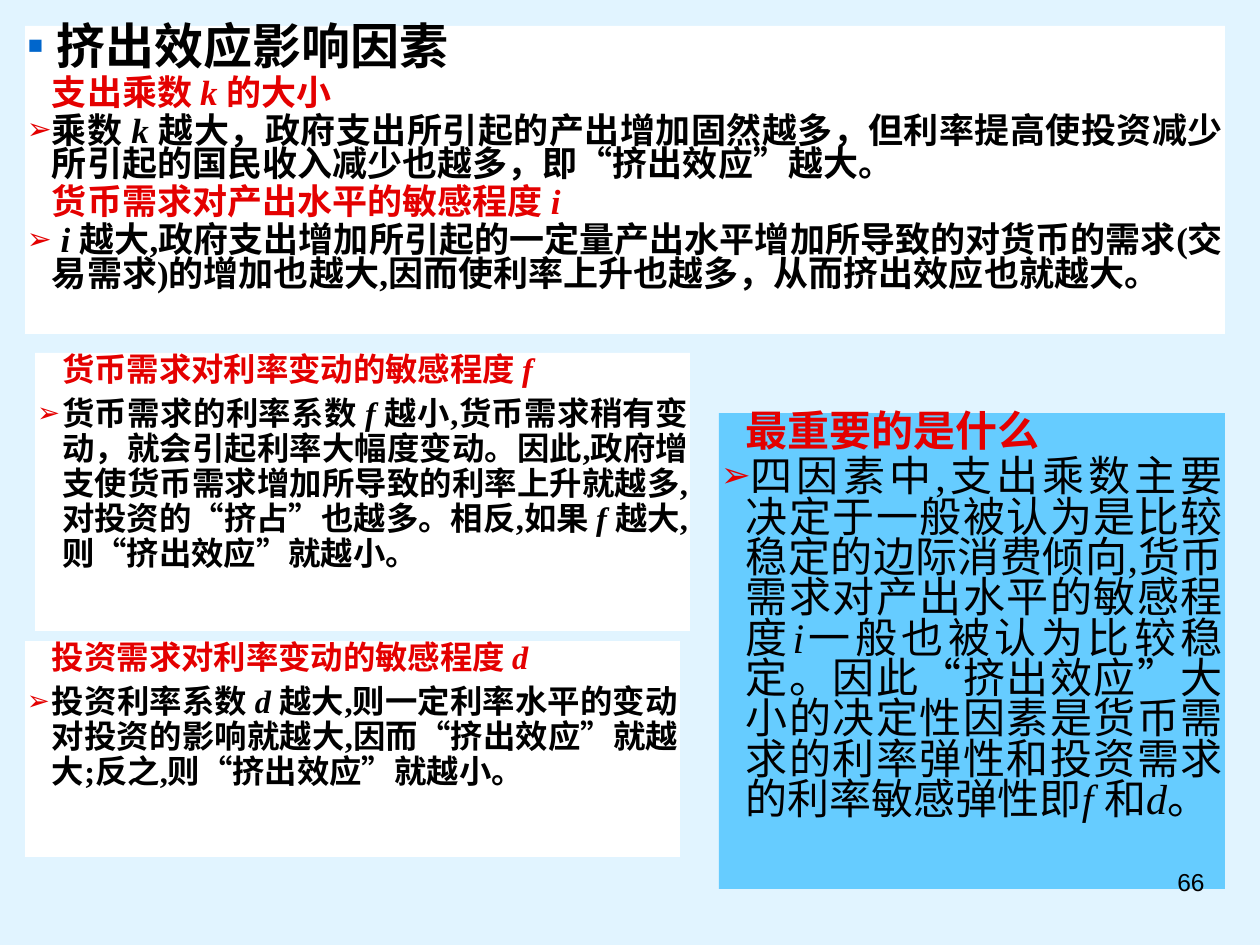
from lxml.etree import SubElement
from pptx import Presentation
from pptx.dml.color import RGBColor
from pptx.enum.text import MSO_ANCHOR, MSO_AUTO_SIZE, PP_ALIGN
from pptx.oxml.ns import qn
from pptx.util import Inches, Pt

PX = Inches(1) / 126
BACKGROUND = RGBColor(0xE1, 0xF4, 0xFF)
WHITE = RGBColor(0xFF, 0xFF, 0xFF)
SKY = RGBColor(0x66, 0xCC, 0xFF)
RED = RGBColor(0xE4, 0x00, 0x00)
BLUE = RGBColor(0x00, 0x66, 0xCC)
BLACK = RGBColor(0x00, 0x00, 0x00)
HANG = 25
TITLE_HANG = 30

MAIN_TITLE = "挤出效应影响因素"
MAIN_FACTORS = [
    ("支出乘数 *k *的大小",
     "乘数 *k *越大，政府支出所引起的产出增加固然越多，但利率提高使投资减少所引起的"
     "国民收入减少也越多，即“挤出效应”越大。"),
    ("货币需求对产出水平的敏感程度 *i *",
     "* i *越大,政府支出增加所引起的一定量产出水平增加所导致的对货币的需求(交易需求)"
     "的增加也越大,因而使利率上升也越多，从而挤出效应也就越大。"),
]
MONEY_FACTOR = (
    "货币需求对利率变动的敏感程度 *f*",
    "货币需求的利率系数 *f *越小,货币需求稍有变动，就会引起利率大幅度变动。因此,政府增支使"
    "货币需求增加所导致的利率上升就越多,对投资的“挤占”也越多。相反,如果 *f *越大,则"
    "“挤出效应”就越小。")
INVESTMENT_FACTOR = (
    "投资需求对利率变动的敏感程度 *d*",
    "投资利率系数 *d *越大,则一定利率水平的变动对投资的影响就越大,因而“挤出效应”就越大;"
    "反之,则“挤出效应”就越小。")
KEY_FACTOR = (
    "最重要的是什么",
    "四因素中,支出乘数主要决定于一般被认为是比较稳定的边际消费倾向,货币需求对产出水平的"
    "敏感程度*i*一般也被认为比较稳定。因此“挤出效应”大小的决定性因素是货币需求的利率弹性"
    "和投资需求的利率敏感弹性即*f *和*d*。")


def px(length):
    return round(length * PX)


def place(box, left, top, width, height):
    box.left, box.top = px(left), px(top)
    box.width, box.height = px(width), px(height)


def prepare_panel(box, area, color):
    place(box, *area)
    box.fill.solid()
    box.fill.fore_color.rgb = color
    frame = box.text_frame
    frame.word_wrap = True
    frame.auto_size = MSO_AUTO_SIZE.NONE
    frame.vertical_anchor = MSO_ANCHOR.TOP
    frame.margin_left = frame.margin_right = px(2)
    frame.margin_top = frame.margin_bottom = px(1)
    return frame


def set_bullet(para, hang, symbol=None, color=None, percent=100):
    properties = para._p.get_or_add_pPr()
    properties.set("marL", str(px(hang)))
    properties.set("indent", str(-px(hang) if symbol else 0))
    properties.set("hangingPunct", "0")
    if symbol is None:
        SubElement(properties, qn("a:buNone"))
        return
    paint = SubElement(properties, qn("a:buClr"))
    SubElement(paint, qn("a:srgbClr"), val=str(color))
    SubElement(properties, qn("a:buSzPct"), val=str(percent * 1000))
    SubElement(properties, qn("a:buChar"), char=symbol)


def add_para(frame, text, spacing, before, level=1):
    first = not frame.text
    para = frame.paragraphs[0] if first else frame.add_paragraph()
    para.level = level
    para.alignment = PP_ALIGN.JUSTIFY
    para.line_spacing = spacing
    para.space_before = Pt(0 if first else before)
    para.space_after = Pt(0)
    for index, part in enumerate(text.split("*")):
        if part:
            span = para.add_run()
            span.text = part
            span.font.italic = index % 2 == 1
    return para


def format_font(para, name, size, color, bold):
    para.font.name = name
    para.font.size = Pt(size)
    para.font.bold = bold
    para.font.color.rgb = color


def add_factor(frame, factor, size, spacing, before, bold=True):
    heading, detail = factor
    para = add_para(frame, heading, spacing, before)
    set_bullet(para, HANG)
    format_font(para, "Times New Roman", size, RED, True)
    para = add_para(frame, detail, spacing, before)
    set_bullet(para, HANG, "➢", RED, 85)
    format_font(para, "Times New Roman", size, BLACK, bold)


def add_page_number(page, number):
    box = page.shapes.add_textbox(px(902), px(861), px(315), px(66))
    box.text_frame.word_wrap = True
    para = box.text_frame.paragraphs[0]
    para.text = number
    para.alignment = PP_ALIGN.RIGHT
    format_font(para, "Arial", 14, BLACK, False)


def main():
    deck = Presentation()
    deck.slide_width, deck.slide_height = Inches(10), Inches(7.5)
    page = deck.slides.add_slide(deck.slide_layouts.get_by_name("Comparison"))
    page.background.fill.solid()
    page.background.fill.fore_color.rgb = BACKGROUND
    title, main_box, money_box, investment_box, key_box = page.placeholders
    title.element.getparent().remove(title.element)

    frame = prepare_panel(main_box, (25, 26, 1200, 308), WHITE)
    para = add_para(frame, MAIN_TITLE, 0.8, 0, level=0)
    set_bullet(para, TITLE_HANG, "▪", BLUE)
    format_font(para, "Arial", 28, BLACK, True)
    for factor in MAIN_FACTORS:
        add_factor(frame, factor, 20, 0.8, 2.5)

    frame = prepare_panel(money_box, (35, 353, 655, 278), WHITE)
    add_factor(frame, MONEY_FACTOR, 18.5, 0.9, 5)
    frame = prepare_panel(investment_box, (25, 641, 655, 216), WHITE)
    add_factor(frame, INVESTMENT_FACTOR, 18.5, 0.9, 5)
    frame = prepare_panel(key_box, (719, 413, 506, 476), SKY)
    add_factor(frame, KEY_FACTOR, 24, 0.8, 3, bold=False)

    add_page_number(page, "66")
    deck.save("out.pptx")


if __name__ == "__main__":
    main()
